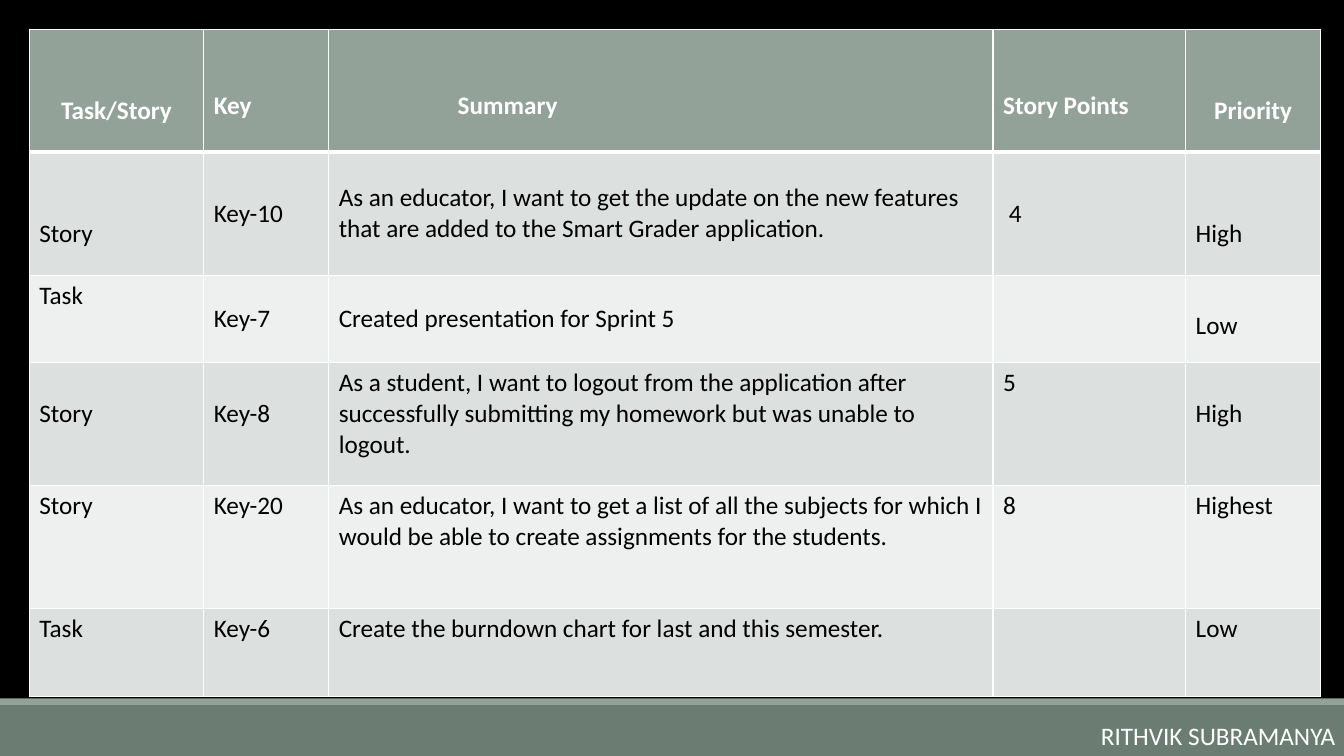
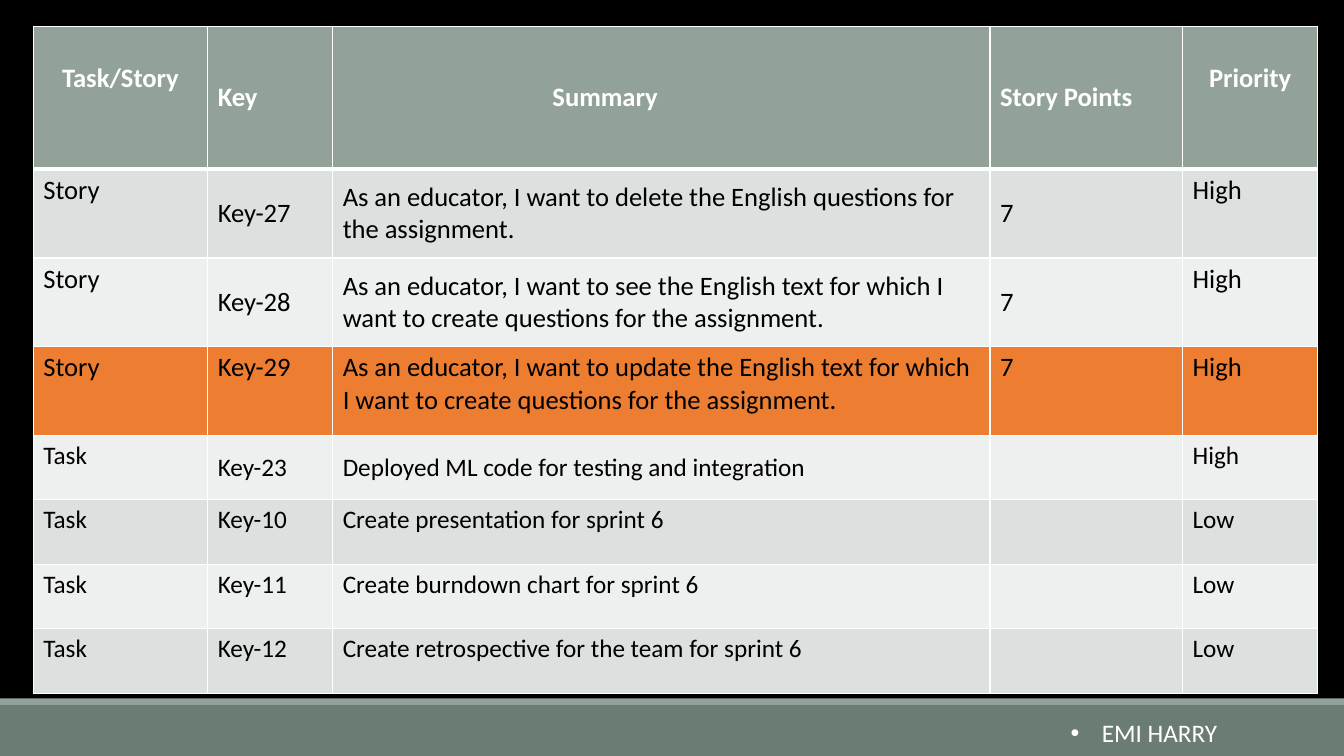
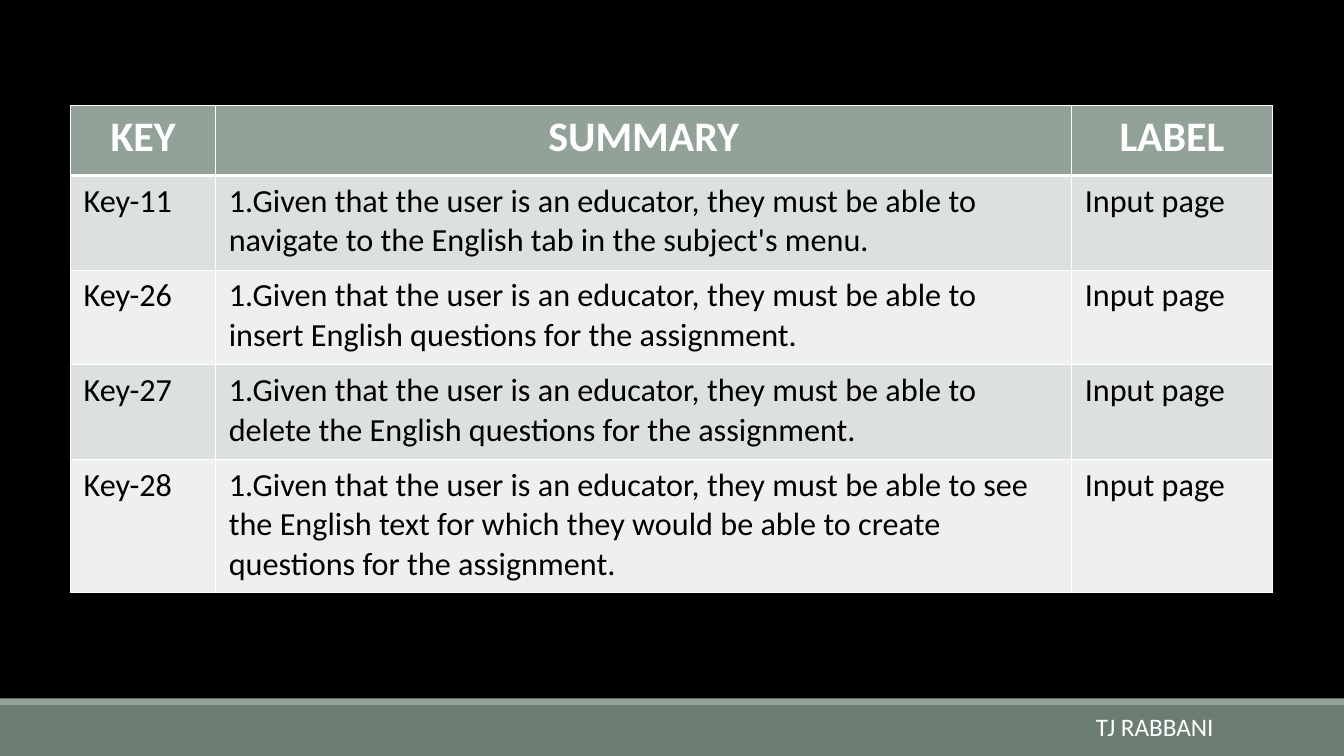
import pptx
import pptx.util
import pptx.dml.color
import pptx.enum.shapes
import pptx.enum.text
import pptx.oxml
import pptx.oxml.ns

Inches = pptx.util.Inches
Pt = pptx.util.Pt
ANCHOR = pptx.enum.text.MSO_ANCHOR
ALIGN = pptx.enum.text.PP_ALIGN

COLORS = {
    "background": "000000",
    "footer": "6B7D72",
    "accent": "93A299",
    "odd": "DCE0DE",
    "even": "EEF0EF",
    "highlight": "ED7D31",
    "light": "FFFFFF",
    "dark": "000000",
}
FONT = "Calibri"
LINE_HEIGHT = 0.305

# Cell layout codes: anchor and number of text lines to drop
LAYOUTS = {
    "0": (ANCHOR.TOP, 0),
    "1": (ANCHOR.TOP, 1),
    "2": (ANCHOR.TOP, 2),
    "m": (ANCHOR.MIDDLE, 0),
    "M": (ANCHOR.MIDDLE, 1),
}


def rgb(name):
    return pptx.dml.color.RGBColor.from_string(COLORS[name])


def add_border(cell, side, width):
    line = pptx.oxml.parse_xml(
        f'<a:ln{side} {pptx.oxml.ns.nsdecls("a")} w="{Pt(width)}"><a:solidFill>'
        f'<a:srgbClr val="{COLORS["light"]}"/></a:solidFill></a:ln{side}>'
    )
    cell._tc.get_or_add_tcPr().append(line)


# Each row: height, text size, layout codes, texts
STORY_HEADER = ["Task/Story", "Key", "Summary", "Story Points", "Priority"]
GIVEN = "1.Given that the user is an educator, they must be able to "

PAGES = [
    {
        "at": (0.29, 0.29),
        "columns": [1.73, 1.24, 6.59, 1.91, 1.34],
        "margins": (0.1, 0.05),
        "summary_indent": 1.18,
        "rows": [
            (1.22, 18, "2MMM2", STORY_HEADER),
            (1.22, 18, "2mmm2", ["Story", "Key-10", "As an educator, I want to get the update on the new features that are added to the Smart Grader application.", " 4", "High"]),
            (0.87, 18, "0mm01", ["Task", "Key-7", "Created presentation for Sprint 5", "", "Low"]),
            (1.22, 18, "11001", ["Story", "Key-8", "As a student, I want to logout from the application after successfully submitting my homework but was unable to logout.", "5", "High"]),
            (1.22, 18, "00000", ["Story", "Key-20", "As an educator, I want to get a list of all the subjects for which I would be able to create assignments for the students.", "8", "Highest"]),
            (0.87, 18, "00000", ["Task", "Key-6", "Create the burndown chart for last and this semester.", "", "Low"]),
        ],
        "presenter": "RITHVIK SUBRAMANYA",
        "presenter_at": (10.82, 7.1),
    },
    {
        "at": (0.33, 0.26),
        "columns": [1.73, 1.24, 6.52, 1.91, 1.34],
        "margins": (0.1, 0.05),
        "summary_indent": 2.08,
        "highlight_row": 3,
        "rows": [
            (1.42, 19, "1mmm1", STORY_HEADER),
            (0.88, 19, "0mmm0", ["Story", "Key-27", "As an educator, I want to delete the English questions for the assignment.", "7", "High"]),
            (0.88, 19, "0mmm0", ["Story", "Key-28", "As an educator, I want to see the English text for which I want to create questions for the assignment.", "7", "High"]),
            (0.88, 19, "00000", ["Story", "Key-29", "As an educator, I want to update the English text for which I want to create questions for the assignment.", "7", "High"]),
            (0.64, 18, "0mm00", ["Task", "Key-23", "Deployed ML code for testing and integration", "", "High"]),
            (0.64, 18, "00000", ["Task", "Key-10", "Create presentation for sprint 6", "", "Low"]),
            (0.64, 18, "00000", ["Task", "Key-11", "Create burndown chart for sprint 6", "", "Low"]),
            (0.64, 18, "00000", ["Task", "Key-12", "Create retrospective for the team for sprint 6", "", "Low"]),
        ],
        "presenter": "EMI HARRY",
        "presenter_at": (10.52, 7.1),
        "bullet": True,
    },
    {
        "at": (0.7, 1.05),
        "columns": [1.44, 8.49, 1.99],
        "margins": (0.13, 0.06),
        "rows": [
            (0.69, 30, "000", ["KEY", "SUMMARY", "LABEL"]),
            (0.94, 23, "000", ["Key-11", GIVEN + " navigate to the English tab in the subject's menu.", "Input page"]),
            (0.94, 23, "000", ["Key-26", GIVEN + "insert English questions for the assignment.", "Input page"]),
            (0.94, 23, "000", ["Key-27", GIVEN + "delete the English questions for the assignment.", "Input page"]),
            (1.32, 23, "000", ["Key-28", GIVEN + "see the English text for which they would be able to create questions for the assignment.", "Input page"]),
        ],
        "presenter": "TJ RABBANI",
        "presenter_at": (10.77, 7.01),
    },
]

deck = pptx.Presentation()
deck.slide_width = Inches(13.33)
deck.slide_height = Inches(7.5)
master = deck.slide_master
master.background.fill.solid()
master.background.fill.fore_color.rgb = rgb("background")
pages = [deck.slides.add_slide(deck.slide_layouts[6]) for content in PAGES]

# Footer bands, moved to the master so that every page shows them
for color, top, height in (("footer", 7, 0.5), ("accent", 6.93, 0.07)):
    band = pages[0].shapes.add_shape(
        pptx.enum.shapes.MSO_SHAPE.RECTANGLE,
        0, Inches(top), deck.slide_width, Inches(height),
    )
    band.shadow.inherit = False
    band.fill.solid()
    band.fill.fore_color.rgb = rgb(color)
    band.line.fill.background()
    master.shapes.element.append(band.element)

for page, content in zip(pages, PAGES):
    # Table frame
    rows, columns = content["rows"], content["columns"]
    left, top = content["at"]
    table = page.shapes.add_table(
        len(rows), len(columns), Inches(left), Inches(top),
        Inches(sum(columns)), Inches(sum(row[0] for row in rows)),
    ).table
    table.horz_banding = False
    for column, width in zip(table.columns, columns):
        column.width = Inches(width)

    # Table cells
    side_margin, end_margin = content["margins"]
    for row_index, (height, size, codes, texts) in enumerate(rows):
        table.rows[row_index].height = Inches(height)
        header = row_index == 0
        if header:
            fill = "accent"
        elif row_index == content.get("highlight_row"):
            fill = "highlight"
        else:
            fill = "odd" if row_index % 2 else "even"

        for column_index, (code, text) in enumerate(zip(codes, texts)):
            cell = table.cell(row_index, column_index)
            anchor, dropped_lines = LAYOUTS[code]
            indent = content.get("summary_indent", 0) if text == "Summary" else 0
            cell.vertical_anchor = anchor
            cell.margin_left = Inches(side_margin + indent)
            cell.margin_right = Inches(side_margin)
            cell.margin_top = Inches(end_margin + dropped_lines * LINE_HEIGHT)
            cell.margin_bottom = Inches(end_margin)
            for side in "LRTB":
                heavy = (row_index, side) in ((0, "B"), (1, "T"))
                add_border(cell, side, 3 if heavy else 1)
            cell.fill.solid()
            cell.fill.fore_color.rgb = rgb(fill)

            cell.text = text
            para = cell.text_frame.paragraphs[0]
            if header and anchor == ANCHOR.TOP:
                para.alignment = ALIGN.CENTER
            para.font.name = FONT
            para.font.size = Pt(size)
            para.font.bold = header
            para.font.color.rgb = rgb("light" if header else "dark")

    # Presenter name
    left, top = content["presenter_at"]
    box = page.shapes.add_textbox(
        Inches(left), Inches(top), Inches(13.33 - left), Inches(0.4)
    )
    box.text_frame.word_wrap = True
    box.text_frame.margin_right = 0
    para = box.text_frame.paragraphs[0]
    para.text = content["presenter"]
    if content.get("bullet"):
        para.line_spacing = 0.9
        para.space_after = Pt(6)
        properties = para._p.get_or_add_pPr()
        properties.set("marL", str(Inches(0.31)))
        properties.set("indent", str(Inches(-0.31)))
        for tag in ('buFont {} typeface="Arial"', 'buChar {} char="•"'):
            properties.append(pptx.oxml.parse_xml(
                f'<a:{tag.format(pptx.oxml.ns.nsdecls("a"))}/>'
            ))
    para.font.name = FONT
    para.font.size = Pt(18)
    para.font.color.rgb = rgb("light")

deck.save("out.pptx")
